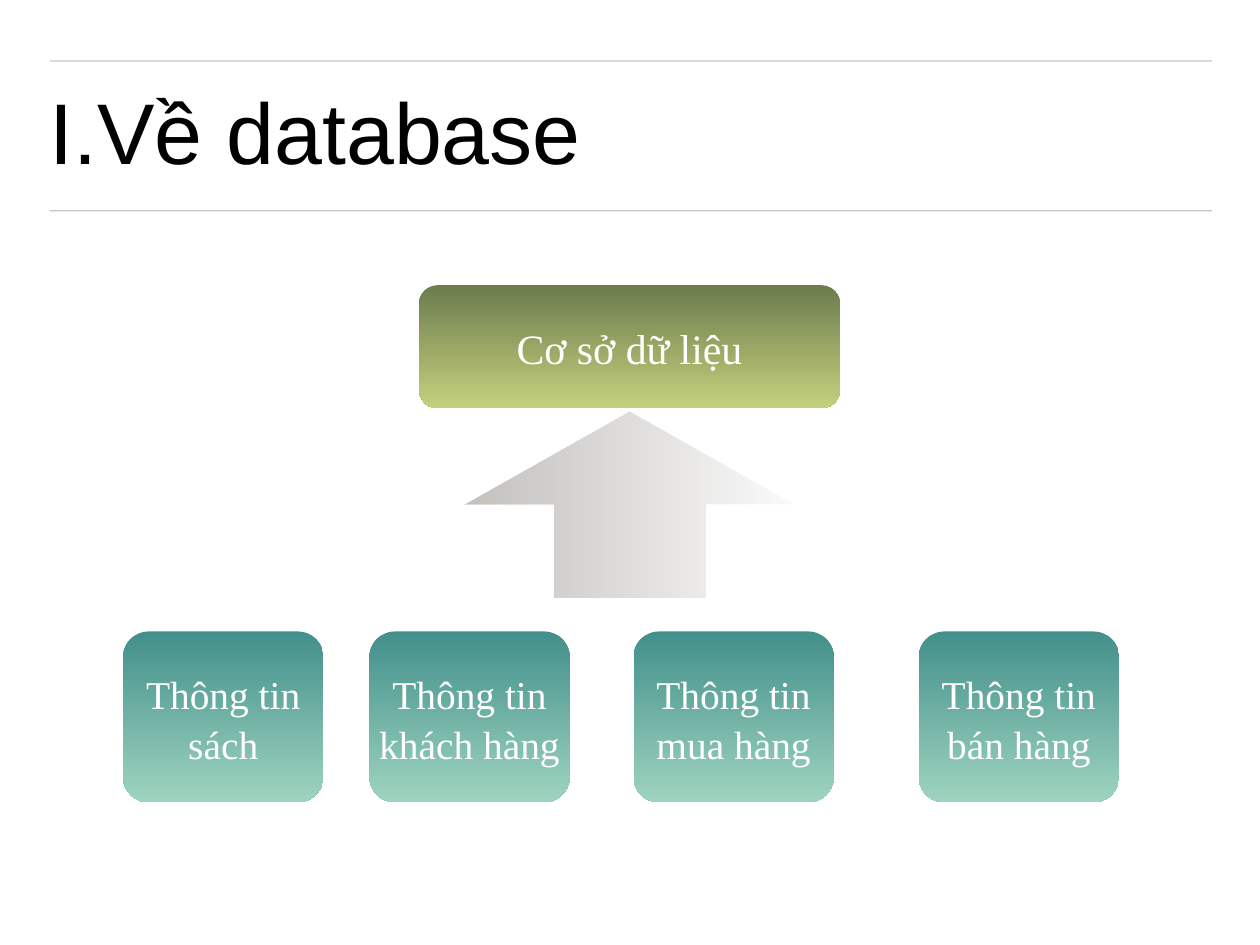
"""Build the database overview slide: one store fed by four kinds of information."""
from dataclasses import dataclass

from lxml.etree import SubElement
from pptx import Presentation
from pptx.dml.color import RGBColor
from pptx.enum.shapes import MSO_CONNECTOR as Connector, MSO_SHAPE as Preset
from pptx.enum.text import MSO_ANCHOR as Anchor, MSO_AUTO_SIZE as AutoSize, PP_ALIGN as Align
from pptx.oxml.ns import qn
from pptx.shapes.autoshape import Shape
from pptx.slide import Slide
from pptx.text.text import TextFrame
from pptx.util import Emu, Pt

EMU_PER_PX = 9144


@dataclass(frozen=True)
class Gradient:
    start: str
    end: str
    angle: int
    opacities: tuple[int, ...] = ()


@dataclass(frozen=True)
class Theme:
    heading_font: str = "Arial"
    body_font: str = "Times New Roman"
    heading_size: int = 70
    store_size: int = 34
    card_size: int = 32
    heading_color: str = "000000"
    box_color: str = "FFFFFF"
    rule_color: str = "444444"
    rule_opacity: int = 30
    store_fill: Gradient = Gradient("6C7C4E", "C5D07C", 270)
    card_fill: Gradient = Gradient("438F8B", "9ED4BF", 270)
    arrow_fill: Gradient = Gradient("89847F", "89847F", 0, (51, 3))


@dataclass(frozen=True)
class Box:
    left: int
    top: int
    width: int
    height: int

    def emu(self) -> tuple[Emu, Emu, Emu, Emu]:
        return px(self.left), px(self.top), px(self.width), px(self.height)


@dataclass(frozen=True)
class Card:
    text: str
    left: int


THEME = Theme()
TITLE_BOX = Box(56, 88, 1311, 133)
STORE_BOX = Box(473, 322, 475, 139)
ARROW_BOX = Box(524, 465, 373, 210)
RULE_LEFT, RULE_RIGHT = 56, 1368
RULE_TOPS = (69, 238)
CARD_TOP, CARD_WIDTH, CARD_HEIGHT = 713, 226, 193
CARDS = (
    Card("Thông tin sách", 139),
    Card("Thông tin khách hàng", 417),
    Card("Thông tin mua hàng", 715),
    Card("Thông tin bán hàng", 1037),
)


def px(length: int) -> Emu:
    """Turn px into EMU."""
    return Emu(length * EMU_PER_PX)


def set_opacities(element, opacities: tuple[int, ...]) -> None:
    """Give each colour in the element its opacity in percent."""
    for color, opacity in zip(element.iter(qn("a:srgbClr")), opacities):
        SubElement(color, qn("a:alpha"), val=str(opacity * 1000))


def set_margins(frame: TextFrame, margin: int) -> None:
    """Set equal margins, centre the text vertically and wrap it."""
    frame.margin_left = frame.margin_right = px(margin)
    frame.margin_top = frame.margin_bottom = px(margin)
    frame.vertical_anchor = Anchor.MIDDLE
    frame.word_wrap = True


def add_run(paragraph, text: str, font: str, size: int, color: str) -> None:
    """Add one formatted run."""
    run = paragraph.add_run()
    run.text = text
    run.font.name = font
    run.font.size = Pt(size)
    run.font.color.rgb = RGBColor.from_string(color)


def add_gradient_shape(slide: Slide, preset: Preset, box: Box, gradient: Gradient,
                       adjustments: tuple[float, ...]) -> Shape:
    """Add a borderless preset shape with a gradient fill."""
    shape = slide.shapes.add_shape(preset, *box.emu())
    shape.shadow.inherit = False
    shape.line.fill.background()
    for index, value in enumerate(adjustments):
        shape.adjustments[index] = value
    shape.fill.gradient()
    shape.fill.gradient_angle = gradient.angle
    for stop, color in zip(shape.fill.gradient_stops, (gradient.start, gradient.end)):
        stop.color.rgb = RGBColor.from_string(color)
    set_opacities(shape.element.spPr, gradient.opacities)
    return shape


def add_text_box(slide: Slide, box: Box, gradient: Gradient, text: str, size: int,
                 margin: int) -> None:
    """Add a rounded box with centred text."""
    shape = add_gradient_shape(slide, Preset.ROUNDED_RECTANGLE, box, gradient, (0.15,))
    set_margins(shape.text_frame, margin)
    paragraph = shape.text_frame.paragraphs[0]
    paragraph.alignment = Align.CENTER
    paragraph.line_spacing = 1.06
    add_run(paragraph, text, THEME.body_font, size, THEME.box_color)


def add_rule(slide: Slide, top: int) -> None:
    """Add a thin horizontal rule."""
    rule = slide.shapes.add_connector(
        Connector.STRAIGHT, px(RULE_LEFT), px(top), px(RULE_RIGHT), px(top))
    rule.line.width = Pt(1)
    rule.line.color.rgb = RGBColor.from_string(THEME.rule_color)
    properties = rule.element.spPr
    set_opacities(properties, (THEME.rule_opacity,))
    SubElement(properties, qn("a:effectLst"))


def format_title(slide: Slide) -> None:
    """Place the title and number it with a Roman numeral."""
    title = slide.shapes.title
    title.left, title.top, title.width, title.height = TITLE_BOX.emu()
    frame = title.text_frame
    set_margins(frame, 0)
    frame.auto_size = AutoSize.NONE
    paragraph = frame.paragraphs[0]
    properties = paragraph._p.get_or_add_pPr()
    properties.set("marL", str(px(25)))
    properties.set("indent", str(px(-25)))
    SubElement(properties, qn("a:buFont"), typeface=THEME.heading_font)
    SubElement(properties, qn("a:buAutoNum"), type="romanUcPeriod")
    paragraph.alignment = Align.LEFT
    paragraph.line_spacing = 0.9
    add_run(paragraph, "Về database", THEME.heading_font, THEME.heading_size,
            THEME.heading_color)


def main() -> None:
    """Draw the slide and save it."""
    presentation = Presentation()
    presentation.slide_width, presentation.slide_height = px(1422), px(1067)
    slide = presentation.slides.add_slide(presentation.slide_layouts.get_by_name("Title Only"))
    for top in RULE_TOPS:
        add_rule(slide, top)
    format_title(slide)
    add_text_box(slide, STORE_BOX, THEME.store_fill, "Cơ sở dữ liệu", THEME.store_size, 6)
    add_gradient_shape(slide, Preset.UP_ARROW, ARROW_BOX, THEME.arrow_fill, (0.46, 0.5))
    for card in CARDS:
        box = Box(card.left, CARD_TOP, CARD_WIDTH, CARD_HEIGHT)
        add_text_box(slide, box, THEME.card_fill, card.text, THEME.card_size, 0)
    presentation.save("out.pptx")


if __name__ == "__main__":
    main()
